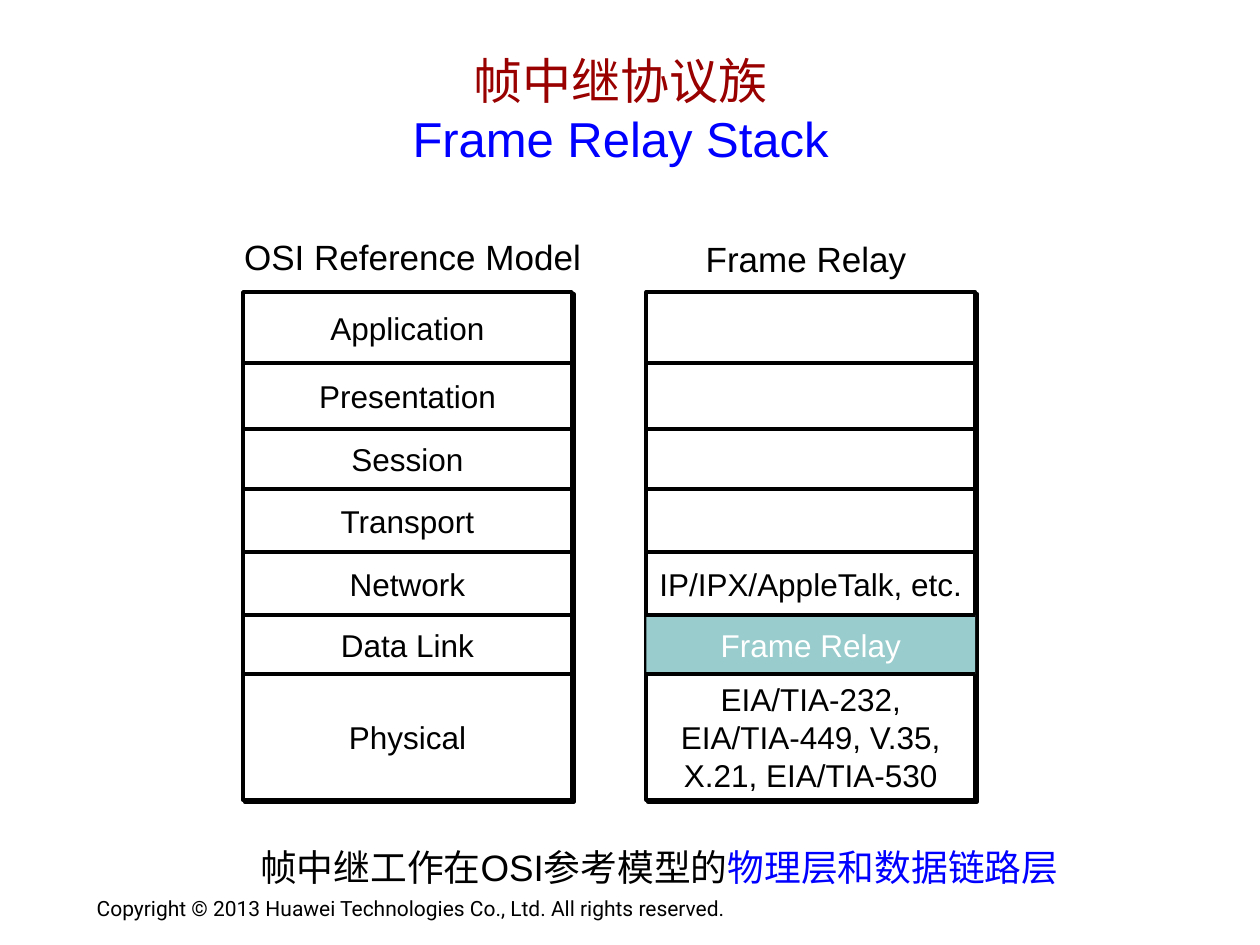
from lxml.etree import SubElement
from pptx import Presentation
from pptx.dml.color import RGBColor as RGB
from pptx.enum.shapes import MSO_CONNECTOR as CONN, MSO_SHAPE as SHAPE
from pptx.enum.text import MSO_ANCHOR as ANCHOR, PP_ALIGN as ALIGN
from pptx.oxml.ns import qn
from pptx.util import Cm, Pt

THEME = {
    "black": RGB(0, 0, 0), "white": RGB(255, 255, 255),
    "red": RGB(0x99, 0, 0), "blue": RGB(0, 0, 255), "teal": RGB(0x99, 0xCC, 0xCC),
    "title": 28, "caption": 21, "heading": 20, "label": 18, "footer": 12,
    "font": "Arial", "footer_font": "Roboto", "line": 2.25,
}

TITLE = [("帧中继协议族", "red"), ("Frame Relay Stack", "blue")]
CAPTION = [("帧中继工作在OSI参考模型的", "black"), ("物理层和数据链路层", "blue")]
COPYRIGHT = "Copyright © 2013 Huawei Technologies Co., Ltd. All rights reserved."

ROW_EDGES = [5.89, 7.32, 8.64, 9.86, 11.13, 12.4, 13.59, 16.13]
COLUMN_W = 6.63
LABEL_W = 4.8
DATA_LINK = 5

STACKS = [
    {"left": 4.9, "heading": "OSI Reference Model", "heading_at": (4.47, 4.62),
     "labels": [(0, "Application", LABEL_W), (1, "Presentation", LABEL_W),
                (2, "Session", LABEL_W), (3, "Transport", LABEL_W),
                (4, "Network", LABEL_W), (5, "Data Link", LABEL_W),
                (6, "Physical", LABEL_W)]},
    {"left": 13.03, "heading": "Frame Relay", "heading_at": (12.4, 4.65),
     "highlight": DATA_LINK,
     "labels": [(4, "IP/IPX/AppleTalk, etc.", 8.18), (5, "Frame Relay", LABEL_W),
                (6, "EIA/TIA-232, EIA/TIA-449, V.35, X.21, EIA/TIA-530", 6.55)]},
]


def style(r, size, color, font="font"):
    r.font.size = Pt(THEME[size])
    r.font.name = THEME[font]
    r.font.color.rgb = THEME[color]


def add_text(slide, box, runs, size, font="font", align=ALIGN.CENTER, wrap=True):
    tf = slide.shapes.add_textbox(*map(Cm, box)).text_frame
    tf.word_wrap = wrap
    tf.vertical_anchor = ANCHOR.MIDDLE
    p = tf.paragraphs[0]
    p.alignment = align
    for text, color in runs:
        r = p.add_run()
        r.text = text
        style(r, size, color, font)


def add_rect(slide, box, fill):
    sp = slide.shapes.add_shape(SHAPE.RECTANGLE, *map(Cm, box))
    sp.shadow.inherit = False
    sp.fill.solid()
    sp.fill.fore_color.rgb = THEME[fill]
    sp.line.fill.background()
    return sp


def add_frame(slide, box):
    sp = add_rect(slide, box, "white")
    sp.line.color.rgb = THEME["black"]
    sp.line.width = Pt(THEME["line"])
    effects = sp._element.spPr.find(qn("a:effectLst"))
    shadow = SubElement(effects, qn("a:outerShdw"), dist=str(Pt(1.4)),
                        dir="2700000", algn="ctr", rotWithShape="0")
    SubElement(shadow, qn("a:srgbClr"), val=str(THEME["black"]))


def add_divider(slide, left, y):
    ln = slide.shapes.add_connector(CONN.STRAIGHT, Cm(left), Cm(y),
                                    Cm(left + COLUMN_W), Cm(y))
    ln.line.color.rgb = THEME["black"]
    ln.line.width = Pt(THEME["line"])
    SubElement(ln._element.spPr, qn("a:effectLst"))


def add_stack(slide, stack):
    left, highlight = stack["left"], stack.get("highlight")
    top, bottom = ROW_EDGES[0], ROW_EDGES[-1]
    add_frame(slide, (left, top, COLUMN_W, bottom - top))
    if highlight is not None:
        y0, y1 = ROW_EDGES[highlight:highlight + 2]
        add_rect(slide, (left, y0, COLUMN_W, y1 - y0), "teal")
    for y in ROW_EDGES[1:-1]:
        add_divider(slide, left, y)
    add_text(slide, (*stack["heading_at"], 7.7, 1.12),
             [(stack["heading"], "black")], "heading")
    for row, text, width in stack["labels"]:
        y0, y1 = ROW_EDGES[row:row + 2]
        color = "white" if row == highlight else "black"
        add_text(slide, (left + (COLUMN_W - width) / 2, y0, width, y1 - y0),
                 [(text, color)], "label")


def add_title(slide):
    sp = slide.shapes.title
    sp.left, sp.top, sp.width, sp.height = map(Cm, (1.78, 0.99, 21.46, 2.41))
    tf = sp.text_frame
    tf.vertical_anchor = ANCHOR.MIDDLE
    p = tf.paragraphs[0]
    p.text = "\v".join(text for text, _ in TITLE)
    p.alignment = ALIGN.CENTER
    for r, (_, color) in zip(p.runs, TITLE):
        style(r, "title", color)


def main():
    prs = Presentation()
    prs.slide_width, prs.slide_height = Cm(25.4), Cm(19.05)
    slide = prs.slides.add_slide(prs.slide_layouts[5])
    add_title(slide)
    for stack in STACKS:
        add_stack(slide, stack)
    add_text(slide, (3.89, 16.92, 18.8, 1.09), CAPTION, "caption")
    add_text(slide, (1.7, 17.93, 14.15, 0.74), [(COPYRIGHT, "black")], "footer",
             font="footer_font", align=ALIGN.LEFT, wrap=False)
    prs.save("out.pptx")


if __name__ == "__main__":
    main()
